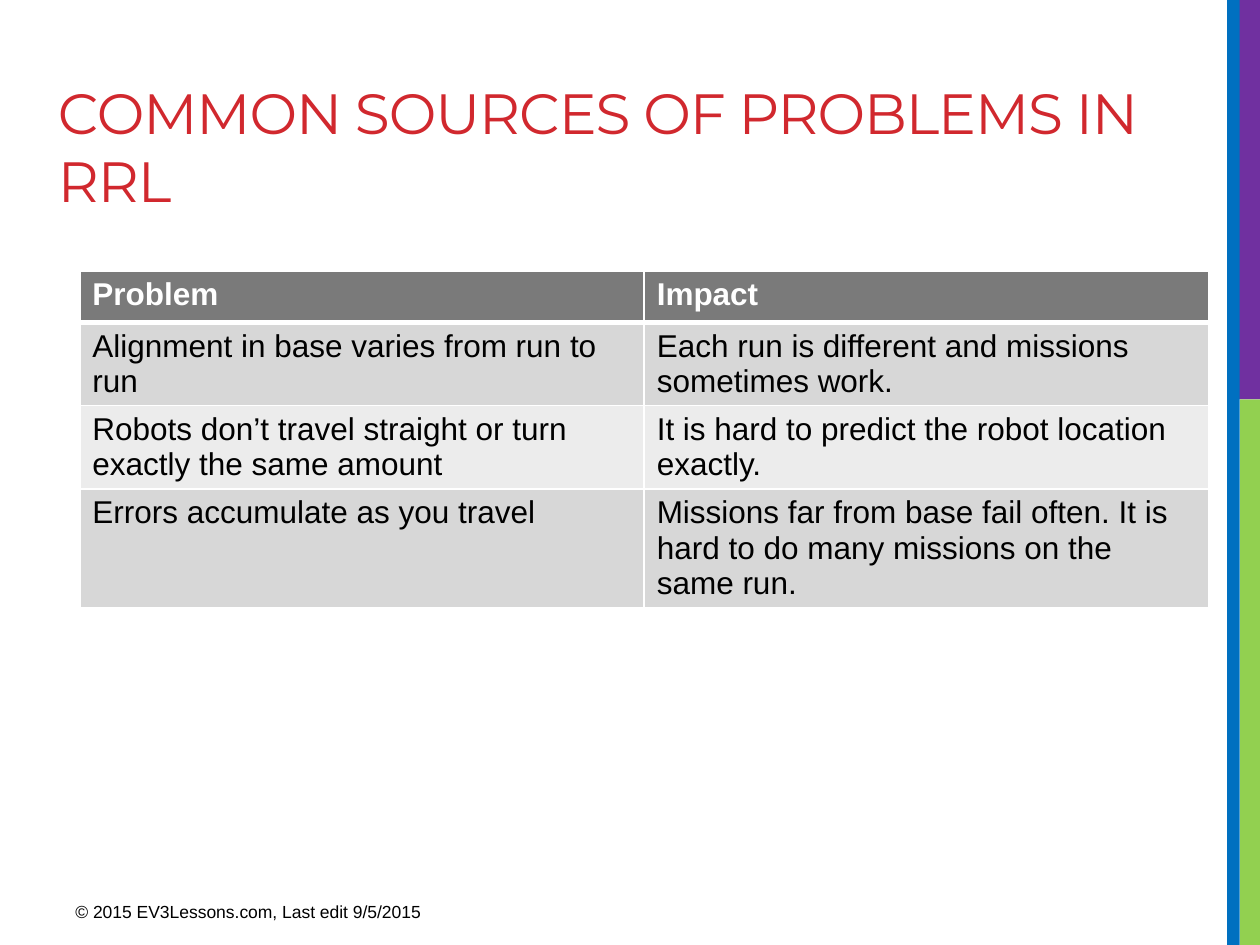
from typing import NamedTuple

from lxml.etree import SubElement
from pptx import Presentation
from pptx.dml.color import RGBColor
from pptx.enum.shapes import MSO_SHAPE
from pptx.enum.text import MSO_ANCHOR, MSO_AUTO_SIZE, PP_ALIGN
from pptx.oxml.ns import qn
from pptx.util import Pt

COLORS = {
    "title": "D1282E",
    "text": "000000",
    "white": "FFFFFF",
    "header": "7A7A7A",
    "odd row": "D7D7D7",
    "even row": "ECECEC",
    "green": "92D050",
    "purple": "7030A0",
    "blue": "0070C0",
}


class Bar(NamedTuple):
    left: float
    top: float
    width: float
    height: float
    color: str


class Problem(NamedTuple):
    name: str
    impact: str


BARS = [
    Bar(708.5, 228.2, 11.5, 311.8, "green"),
    Bar(705.6, 0, 14.4, 228.2, "purple"),
    Bar(701.2, 0, 7.2, 540, "blue"),
]
HEADER = Problem("Problem", "Impact")
PROBLEMS = [
    Problem("Alignment in base varies from run to run",
            "Each run is different and missions sometimes work."),
    Problem("Robots don’t travel straight or turn exactly the same amount",
            "It is hard to predict the robot location exactly."),
    Problem("Errors accumulate as you travel",
            "Missions far from base fail often. It is hard to do many missions on the same run."),
]


def rgb(name: str) -> RGBColor:
    return RGBColor.from_string(COLORS[name])


def format_paragraph(paragraph, font_name: str, size: float, color: str, bold: bool = False) -> None:
    paragraph.alignment = PP_ALIGN.LEFT
    paragraph.font.name = font_name
    paragraph.font.size = Pt(size)
    paragraph.font.bold = bold
    paragraph.font.color.rgb = rgb(color)


def add_bar(slide, bar: Bar) -> None:
    shape = slide.shapes.add_shape(
        MSO_SHAPE.RECTANGLE, Pt(bar.left), Pt(bar.top), Pt(bar.width), Pt(bar.height))
    shape.shadow.inherit = False
    shape.fill.solid()
    shape.fill.fore_color.rgb = rgb(bar.color)
    shape.line.fill.background()


def add_title(slide, text: str) -> None:
    title = slide.shapes.title
    title.left, title.top, title.width, title.height = Pt(25.9), Pt(41), Pt(664.6), Pt(64.8)
    frame = title.text_frame
    frame.text = text
    frame.word_wrap = True
    frame.auto_size = MSO_AUTO_SIZE.NONE
    frame.vertical_anchor = MSO_ANCHOR.TOP
    paragraph = frame.paragraphs[0]
    format_paragraph(paragraph, "Montserrat", 32.4, "title")
    paragraph.runs[0]._r.get_or_add_rPr().set("spc", "-60")


def set_borders(cell, bottom_width: float) -> None:
    """Draw white borders, 1 pt wide except at the bottom."""
    properties = cell._tc.get_or_add_tcPr()
    for side, width in (("L", 1), ("R", 1), ("T", 1), ("B", bottom_width)):
        line = SubElement(properties, qn(f"a:ln{side}"), w=str(Pt(width)))
        fill = SubElement(line, qn("a:solidFill"))
        SubElement(fill, qn("a:srgbClr"), val=COLORS["white"])


def add_problem_table(slide) -> None:
    rows = [HEADER, *PROBLEMS]
    frame = slide.shapes.add_table(
        len(rows), len(HEADER), Pt(45.6), Pt(154.8), Pt(645), Pt(118))
    table = frame.table
    for row_index, row in enumerate(rows):
        is_header = row_index == 0
        fill = "header" if is_header else "odd row" if row_index % 2 else "even row"
        for column_index, text in enumerate(row):
            cell = table.cell(row_index, column_index)
            cell.text = text
            format_paragraph(cell.text_frame.paragraphs[0], "Arial", 18,
                             "white" if is_header else "text", is_header)
            set_borders(cell, 3 if is_header else 1)
            cell.fill.solid()
            cell.fill.fore_color.rgb = rgb(fill)


def add_copyright(slide, text: str) -> None:
    box = slide.shapes.add_textbox(Pt(36), Pt(511.2), Pt(270), Pt(22.3))
    box.text_frame.word_wrap = True
    box.text_frame.text = text
    format_paragraph(box.text_frame.paragraphs[0], "Arial", 10, "text")


def main() -> None:
    presentation = Presentation()
    presentation.slide_width, presentation.slide_height = Pt(720), Pt(540)
    slide = presentation.slides.add_slide(presentation.slide_layouts[5])
    for bar in BARS:
        add_bar(slide, bar)
    add_title(slide, "COMMON SOURCES OF PROBLEMS IN RRL")
    add_problem_table(slide)
    add_copyright(slide, "© 2015 EV3Lessons.com, Last edit 9/5/2015")
    presentation.save("out.pptx")


if __name__ == "__main__":
    main()
